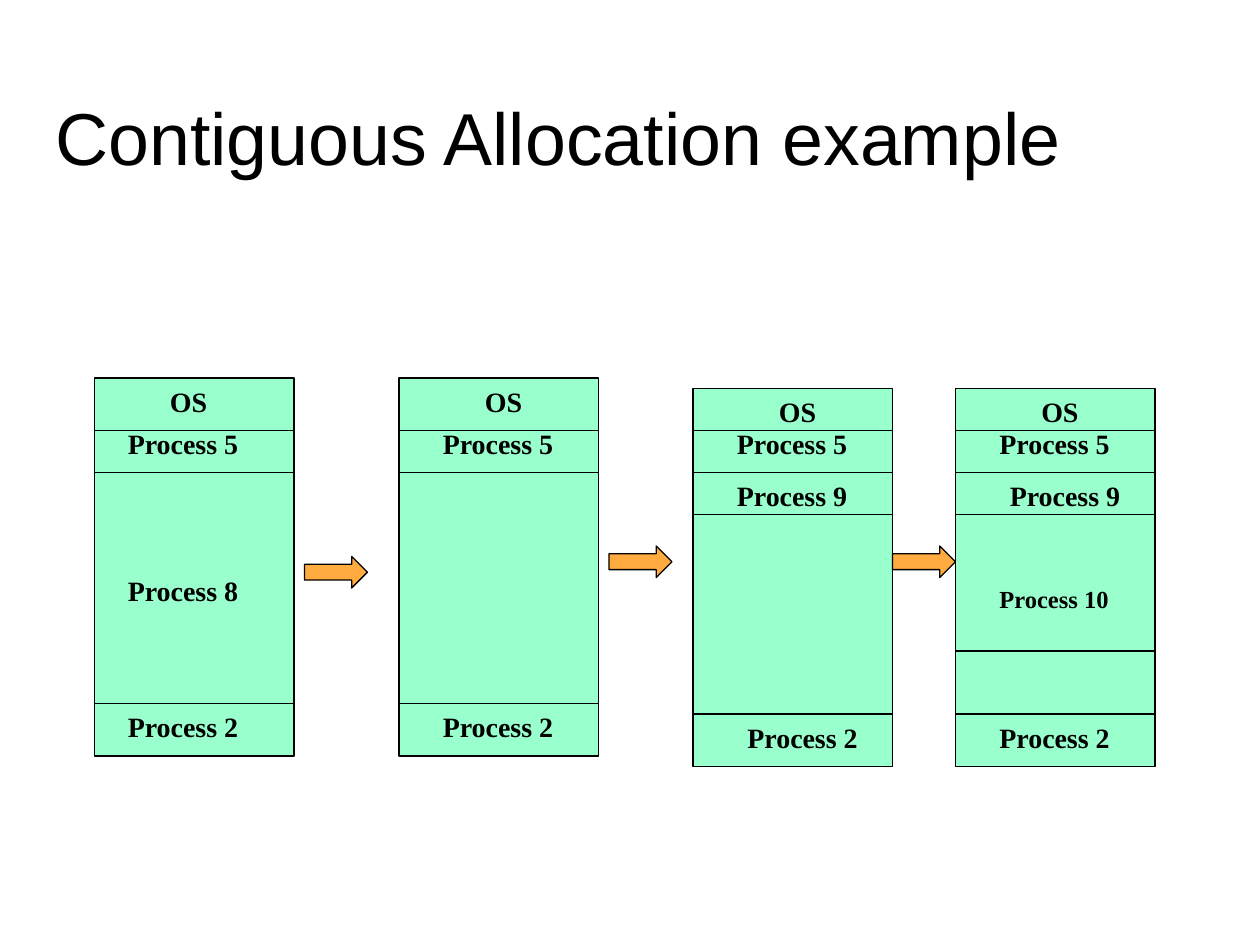
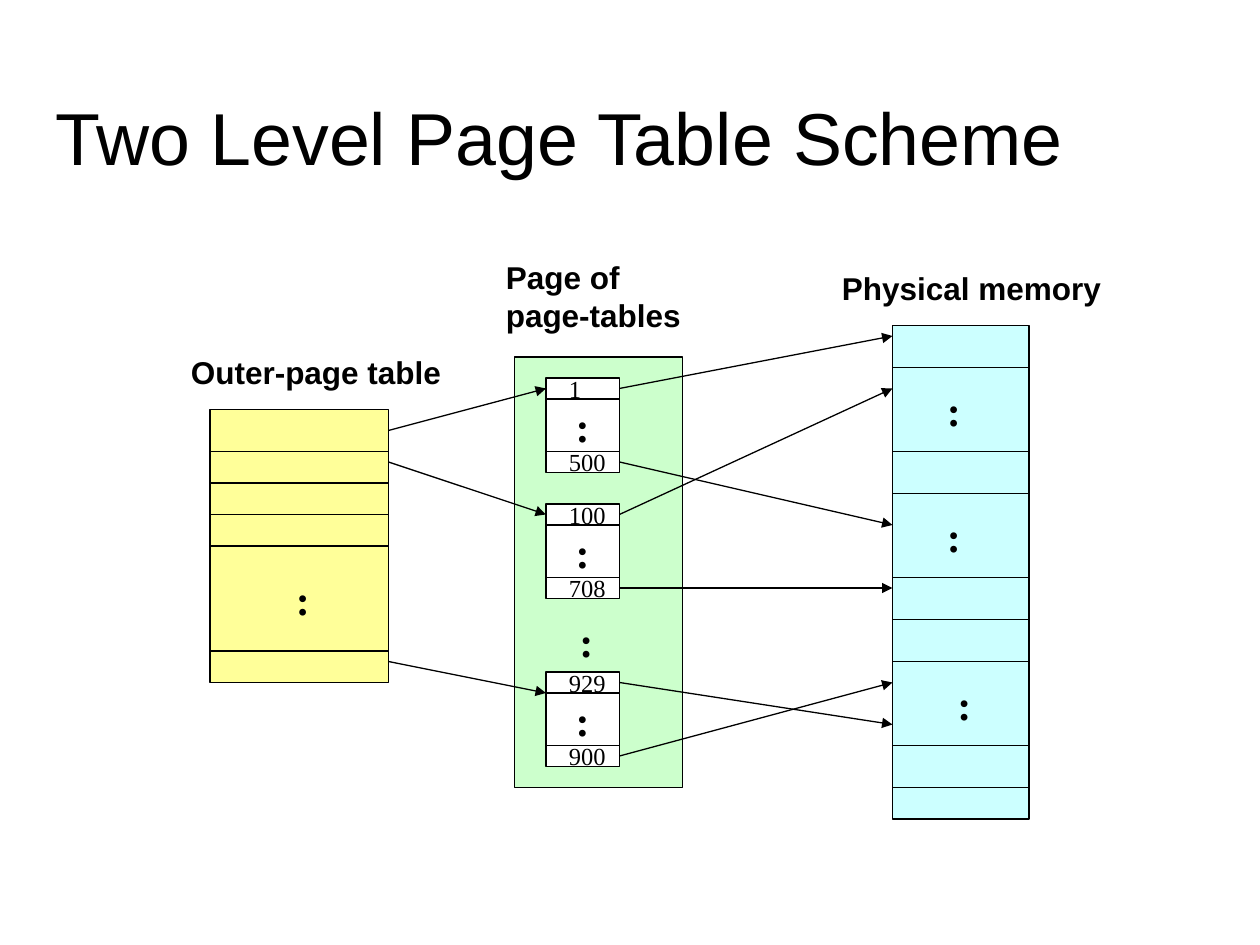
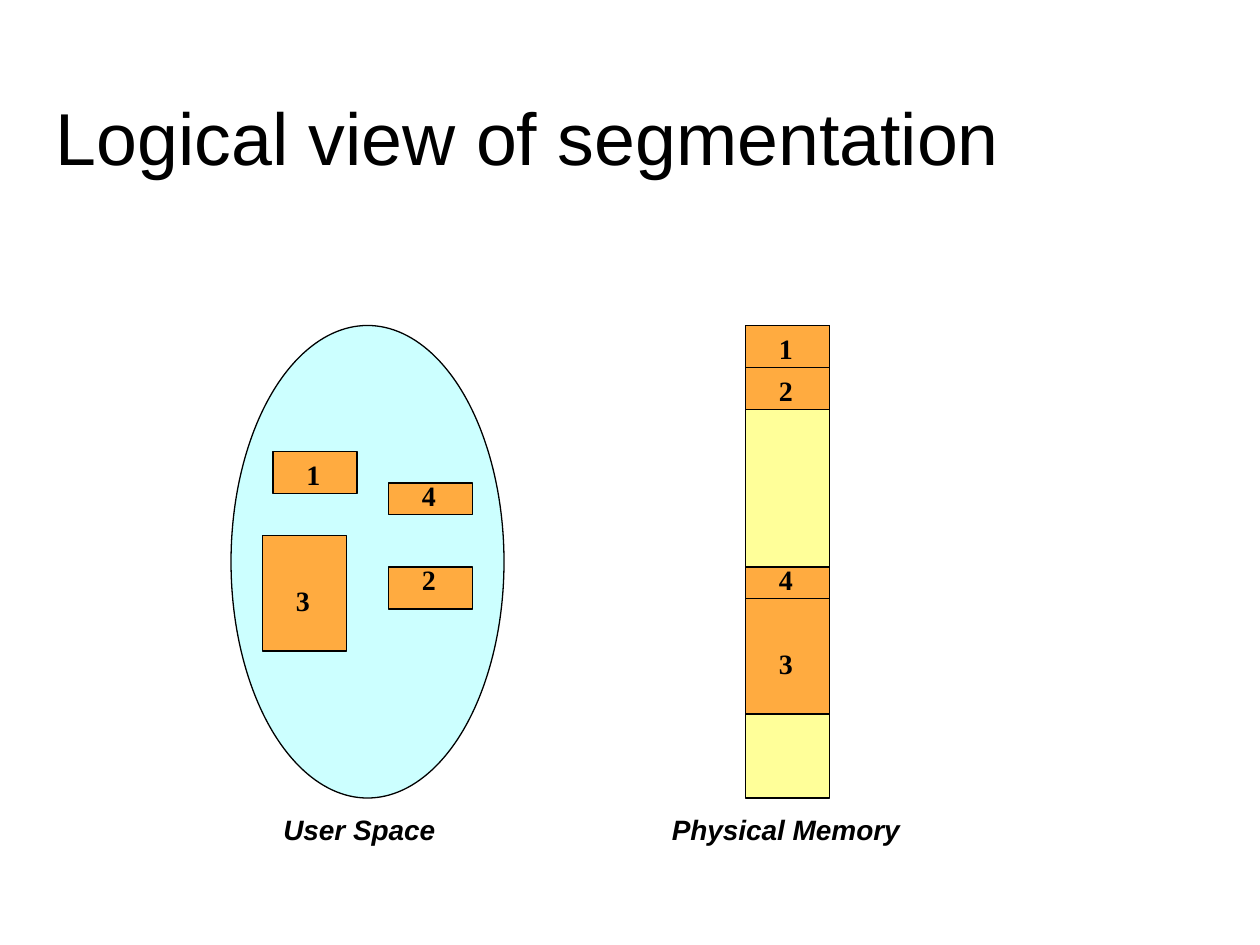
from typing import NamedTuple

from lxml.etree import SubElement
from pptx import Presentation
from pptx.dml.color import RGBColor
from pptx.enum.shapes import MSO_CONNECTOR as Link, MSO_SHAPE as Kind
from pptx.enum.text import MSO_ANCHOR as Anchor, PP_ALIGN as Align
from pptx.oxml.ns import qn
from pptx.util import Inches, Pt

# Shared look
BLACK, WHITE = "000000", "FFFFFF"
MINT, ORANGE, YELLOW = "99FFCC", "FFAB40", "FFFF99"
AQUA, GREEN = "CCFFFF", "CCFFCC"
SANS, SERIF = "Arial", "Times New Roman"


class Style(NamedTuple):
    font: str
    size: int
    bold: bool = True
    italic: bool = False


HEAD = Style(SANS, 42, bold=False)
NAME = Style(SERIF, 16)
SMALL = Style(SERIF, 14)
PAGE = Style(SERIF, 14, bold=False)
DOTS = Style(SERIF, 24)
TOPIC = Style(SANS, 18)
NOTE = Style(SANS, 16, italic=True)


# Places are in grid steps of a twelfth of an inch
class Box(NamedTuple):
    x: float
    y: float
    w: float
    h: float
    fill: str
    kind: Kind = Kind.RECTANGLE


class Label(NamedTuple):
    x: float
    y: float
    width: float  # inches
    text: str
    style: Style = NAME


class Line(NamedTuple):
    x1: float
    y1: float
    x2: float
    y2: float
    arrow: bool = False


class Stack(NamedTuple):
    box: Box
    cuts: tuple[int, ...] = ()


def grid(steps: float) -> Inches:
    return Inches(steps / 12)


def rgb(code: str) -> RGBColor:
    return RGBColor.from_string(code)


def put_text(frame, text: str, style: Style) -> None:
    frame.text = text
    frame.word_wrap = True
    for para in frame.paragraphs:
        for run in para.runs:
            font = run.font
            font.name, font.size = style.font, Pt(style.size)
            font.bold, font.italic = style.bold, style.italic
            font.color.rgb = rgb(BLACK)


def draw_box(slide, box: Box):
    shape = slide.shapes.add_shape(box.kind, *map(grid, box[:4]))
    shape.shadow.inherit = False
    shape.fill.solid()
    shape.fill.fore_color.rgb = rgb(box.fill)
    shape.line.color.rgb = rgb(BLACK)
    shape.line.width = Pt(0.75)
    return shape


def draw_label(slide, label: Label) -> None:
    rows = label.text.count("\n") + 1
    high = Inches(rows * label.style.size / 60 + 0.1)
    box = slide.shapes.add_textbox(grid(label.x), grid(label.y),
                                   Inches(label.width), high)
    put_text(box.text_frame, label.text, label.style)


def draw_line(slide, line: Line) -> None:
    link = slide.shapes.add_connector(Link.STRAIGHT, *map(grid, line[:4]))
    link.line.color.rgb = rgb(BLACK)
    link.line.width = Pt(0.75)
    if line.arrow:
        SubElement(link.line._get_or_add_ln(), qn("a:tailEnd"), type="triangle")
    SubElement(link._element.spPr, qn("a:effectLst"))


def draw_stack(slide, stack: Stack):
    box = stack.box
    shape = draw_box(slide, box)
    for cut in stack.cuts:
        y = box.y + cut
        draw_line(slide, Line(box.x, y, box.x + box.w, y))
    return shape


def draw_dots(slide, *spots: tuple[int, int]) -> None:
    for x, y in spots:
        draw_label(slide, Label(x, y, 0.31, ":", DOTS))


def new_slide(deck, text: str):
    slide = deck.slides.add_slide(deck.slide_layouts[5])
    title = slide.shapes.title
    title.left, title.top = Inches(0.34), Inches(0.65)
    title.width, title.height = Inches(9.32), Inches(0.83)
    put_text(title.text_frame, text, HEAD)
    title.text_frame.vertical_anchor = Anchor.BOTTOM
    title.text_frame.paragraphs[0].alignment = Align.LEFT
    return slide


def allocation(deck) -> None:
    slide = new_slide(deck, "Contiguous Allocation example")

    # Memory states: left, top, cuts, left of the labels
    states = (
        (9, 36, (5, 9, 31), 11),
        (38, 36, (5, 9, 31), 41),
        (66, 37, (4, 8, 12, 31), 69),
        (91, 37, (4, 8, 12, 25, 31), 94),
    )
    for x, y, cuts, left in states:
        draw_stack(slide, Stack(Box(x, y, 19, 36, MINT), cuts))
        draw_label(slide, Label(left + 4, y, 0.5, "OS"))
        draw_label(slide, Label(left, 40, 1.1, "Process 5"))

    # Steps between the states
    for x, y in ((29, 53), (58, 52), (85, 52)):
        draw_box(slide, Box(x, y, 6, 3, ORANGE, Kind.RIGHT_ARROW))

    # Other processes
    for x, y, num in ((11, 54, 8), (69, 45, 9), (95, 45, 9),
                      (11, 67, 2), (41, 67, 2), (70, 68, 2), (94, 68, 2)):
        draw_label(slide, Label(x, y, 1.1, f"Process {num}"))
    draw_label(slide, Label(94, 55, 1.1, "Process 10", SMALL))


def paging(deck) -> None:
    slide = new_slide(deck, "Two Level Page Table Scheme")

    # Outer table, frame of the inner tables, memory
    for stack in (
        Stack(Box(20, 39, 17, 26, YELLOW), (4, 7, 10, 13, 23)),
        Stack(Box(49, 34, 16, 41, GREEN)),
        Stack(Box(85, 31, 13, 47, AQUA), (4, 12, 16, 24, 28, 32, 40, 44)),
    ):
        draw_stack(slide, stack)
    draw_dots(slide, (27, 54), (54, 58), (89, 36), (89, 48), (90, 64))

    # Inner page tables
    for y, first, last in ((36, "1", "500"), (48, "100", "708"),
                           (64, "929", "900")):
        table = draw_stack(slide, Stack(Box(52, y, 7, 9, WHITE), (2, 7)))
        put_text(table.text_frame, ":", DOTS)
        table.text_frame.vertical_anchor = Anchor.MIDDLE
        table.text_frame.paragraphs[0].alignment = Align.CENTER
        draw_label(slide, Label(53, y - 1, 0.5, first, PAGE))
        draw_label(slide, Label(53, y + 6, 0.5, last, PAGE))

    # Headings
    for label in (
        Label(17, 33, 2.32, "Outer-page table", TOPIC),
        Label(47, 24, 1.8, "Page of\npage-tables", TOPIC),
        Label(79, 25, 2.37, "Physical memory", TOPIC),
    ):
        draw_label(slide, label)

    # Pointers
    for y1, y2 in ((41, 37), (44, 49), (63, 66)):
        draw_line(slide, Line(37, y1, 52, y2, arrow=True))
    for y1, y2 in ((37, 32), (44, 50), (49, 37), (56, 56), (72, 65), (65, 69)):
        draw_line(slide, Line(59, y1, 85, y2, arrow=True))


def segments(deck) -> None:
    slide = new_slide(deck, "Logical view of segmentation")

    # User space and memory
    draw_box(slide, Box(22, 31, 26, 45, AQUA, Kind.OVAL))
    draw_box(slide, Box(71, 31, 8, 45, YELLOW))

    # Segments: number, left, top, height, drop of the label
    for num, x, y, high, drop in (
        (1, 26, 43, 4, 0), (4, 37, 46, 3, -1),
        (3, 25, 51, 11, 4), (2, 37, 54, 4, -1),
        (1, 71, 31, 4, 0), (2, 71, 35, 4, 0),
        (4, 71, 54, 3, -1), (3, 71, 57, 11, 4),
    ):
        draw_box(slide, Box(x, y, 8, high, ORANGE))
        draw_label(slide, Label(x + 2, y + drop, 0.31, str(num)))

    # Captions
    draw_label(slide, Label(25.8, 76.8, 1.6, "User Space", NOTE))
    draw_label(slide, Label(62.8, 76.8, 3.13, "Physical Memory", NOTE))


def main() -> None:
    deck = Presentation()
    deck.slide_width, deck.slide_height = Inches(10), Inches(7.5)
    for build in (allocation, paging, segments):
        build(deck)
    deck.save("out.pptx")


if __name__ == "__main__":
    main()
